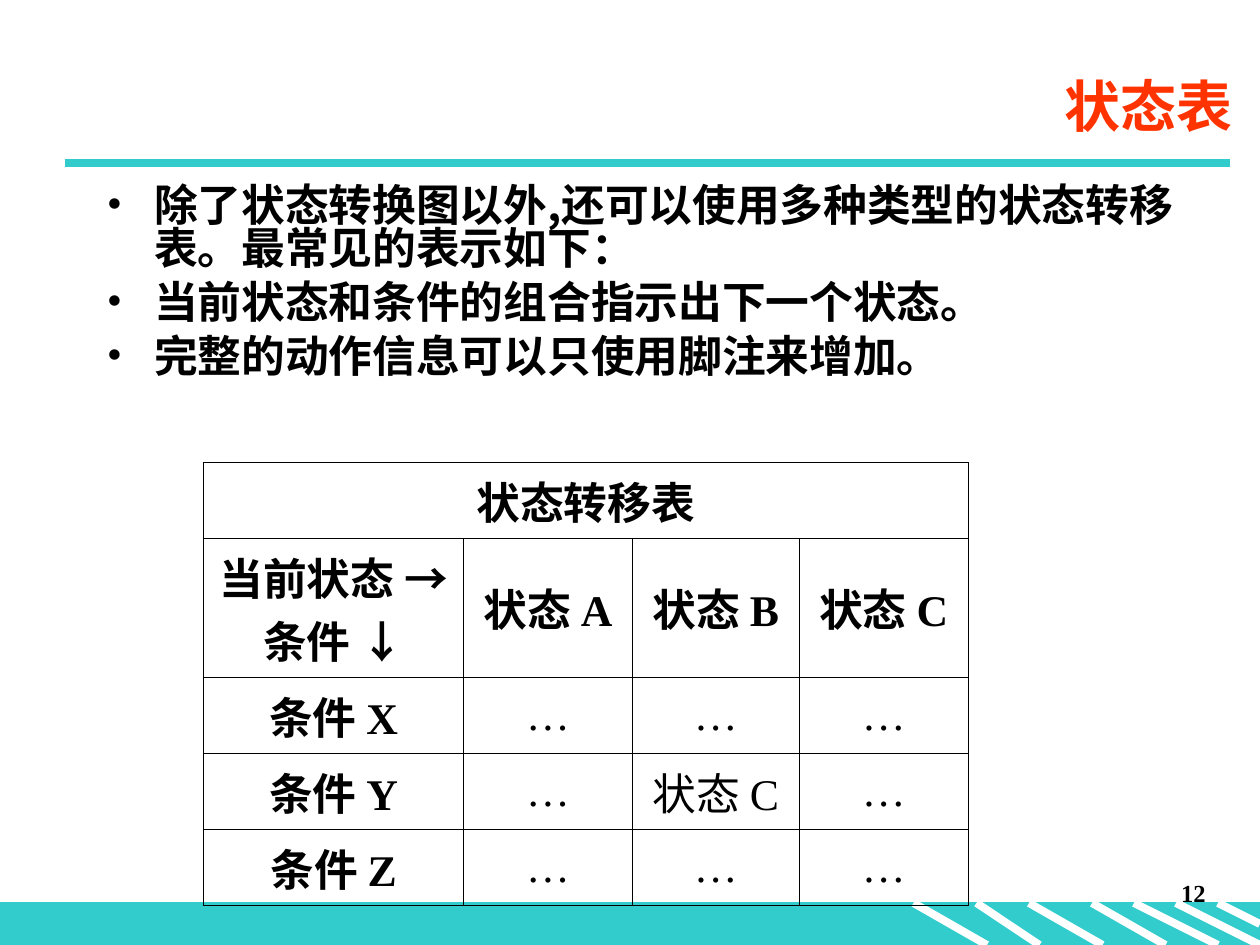
from dataclasses import dataclass

from lxml import etree
from pptx import Presentation
from pptx.dml.color import RGBColor
from pptx.enum.shapes import MSO_CONNECTOR, MSO_SHAPE
from pptx.enum.text import MSO_ANCHOR, PP_ALIGN
from pptx.oxml.ns import qn
from pptx.util import Pt

LEFT, MID, RIGHT = PP_ALIGN.LEFT, PP_ALIGN.CENTER, PP_ALIGN.RIGHT
TOP, CENTER = MSO_ANCHOR.TOP, MSO_ANCHOR.MIDDLE
STRAIGHT, RECT = MSO_CONNECTOR.STRAIGHT, MSO_SHAPE.RECTANGLE


@dataclass(frozen=True)
class Theme:
    teal: str = "33CCCC"
    red: str = "FF3300"
    white: str = "FFFFFF"
    black: str = "000000"
    sans: str = "Arial"
    serif: str = "Times New Roman"
    han: str = "Noto Sans CJK SC"
    head: float = 32
    text: float = 25
    note: float = 14
    rule: float = 4.5
    edge: float = 0.45


THEME = Theme()


def rgb(code):
    return RGBColor.from_string(code)


def write(frame, *lines, font=THEME.serif, size=THEME.text, color=THEME.black,
          bold=True, align=LEFT, before=0, space=None, bullet=None, indent=0):
    """Fill a text frame, one paragraph for each line."""
    frame.word_wrap = True
    for i, line in enumerate(lines):
        para = frame.add_paragraph() if i else frame.paragraphs[0]
        para.text = line
        para.alignment = align
        para.space_before = Pt(before)
        if space:
            para.line_spacing = space
        if bullet:
            props = para._p.get_or_add_pPr()
            props.set("marL", str(Pt(indent)))
            props.set("indent", str(-Pt(indent)))
            etree.SubElement(props, qn("a:buFont"), typeface=THEME.serif)
            etree.SubElement(props, qn("a:buChar"), char=bullet)
        for run in para.runs:
            run.font.name = font
            run.font.size = Pt(size)
            run.font.bold = bold
            run.font.color.rgb = rgb(color)
            etree.SubElement(run._r.get_or_add_rPr(), qn("a:ea"),
                             typeface=THEME.han)


def label(slide, box, *lines, anchor=TOP, **style):
    frame = slide.shapes.add_textbox(*map(Pt, box)).text_frame
    frame.vertical_anchor = anchor
    write(frame, *lines, **style)


def rule(slide, x1, y1, x2, y2, color):
    line = slide.shapes.add_connector(STRAIGHT, *map(Pt, (x1, y1, x2, y2)))
    line.line.color.rgb = rgb(color)
    line.line.width = Pt(THEME.rule)
    etree.SubElement(line._element.spPr, qn("a:effectLst"))


def footer(slide, box, number):
    """Teal band with white slanted strokes and the page number."""
    x, y, w, h = box
    band = slide.shapes.add_shape(RECT, *map(Pt, box))
    band.shadow.inherit = False
    band.fill.solid()
    band.fill.fore_color.rgb = rgb(THEME.teal)
    band.line.color.rgb = rgb(THEME.teal)
    band.line.width = Pt(0.75)
    strokes = ((558, 36, 1), (522, 42, 1), (588, 42, 1), (672, 48, 1),
               (648, 48, 1), (696, 24, 0.5), (624, 42, 1))
    for start, run, drop in strokes:
        rule(slide, x + start, y, x + start + run, y + h * drop, THEME.white)
    label(slide, (x + w - 174, y - 18, 150, 36), number, size=THEME.note,
          align=RIGHT, before=8.8)


def header(slide, box, title):
    """Right-aligned title over a teal rule."""
    x, y, w, h = box
    label(slide, (x + 62.5, y, w - 54, h), title, anchor=CENTER, align=RIGHT,
          font=THEME.sans, size=THEME.head, color=THEME.red)
    rule(slide, x, y + h + 4.5, x + w, y + h + 4.5, THEME.teal)


def points(slide, box, lines):
    """Bulleted body text."""
    label(slide, box, *lines, font=THEME.han, before=6.2, space=0.82,
          bullet="•", indent=27)


def border(cell):
    props = cell._tc.get_or_add_tcPr()
    for i, side in enumerate(("lnL", "lnR", "lnT", "lnB")):
        line = etree.Element(qn("a:" + side), w=str(Pt(THEME.edge)))
        fill = etree.SubElement(line, qn("a:solidFill"))
        etree.SubElement(fill, qn("a:srgbClr"), val=THEME.black)
        props.insert(i, line)


def grid(slide, box, rows, wide, high):
    """State table: first row spans all columns, first column is bold."""
    table = slide.shapes.add_table(len(rows), len(wide), *map(Pt, box)).table
    table.first_row = table.horz_banding = False
    for col, size in zip(table.columns, wide):
        col.width = Pt(size)
    for row, size in zip(table.rows, high):
        row.height = Pt(size)
    table.cell(0, 0).merge(table.cell(0, len(wide) - 1))
    for r, row in enumerate(rows):
        for c in range(len(wide)):
            cell = table.cell(r, c)
            cell.fill.background()
            cell.vertical_anchor = CENTER
            border(cell)
            if c < len(row):
                write(cell.text_frame, row[c], align=MID,
                      bold=r < 2 or c == 0)


def main():
    deck = Presentation()
    deck.slide_width, deck.slide_height = Pt(720), Pt(540)
    slide = deck.slides.add_slide(deck.slide_layouts[6])

    footer(slide, (0, 516, 720, 24), "12")
    header(slide, (37, 31.5, 666, 57), "状态表")
    points(slide, (54, 103.5, 629, 363), (
        "除了状态转换图以外,还可以使用多种类型的状态转移表。最常见的表示如下：",
        "当前状态和条件的组合指示出下一个状态。",
        "完整的动作信息可以只使用脚注来增加。",
    ))

    wide = (148.8, 96.4, 95.4, 96.4)
    high = (43.4, 79.6, 43.4, 43.4, 43.4)
    rows = (
        ("状态转移表",),
        ("当前状态 →\n条件 ↓", "状态 A", "状态 B", "状态 C"),
        ("条件 X", "…", "…", "…"),
        ("条件 Y", "…", "状态 C", "…"),
        ("条件 Z", "…", "…", "…"),
    )
    grid(slide, (116.2, 264.2, sum(wide), sum(high)), rows, wide, high)
    deck.save("out.pptx")


if __name__ == "__main__":
    main()
